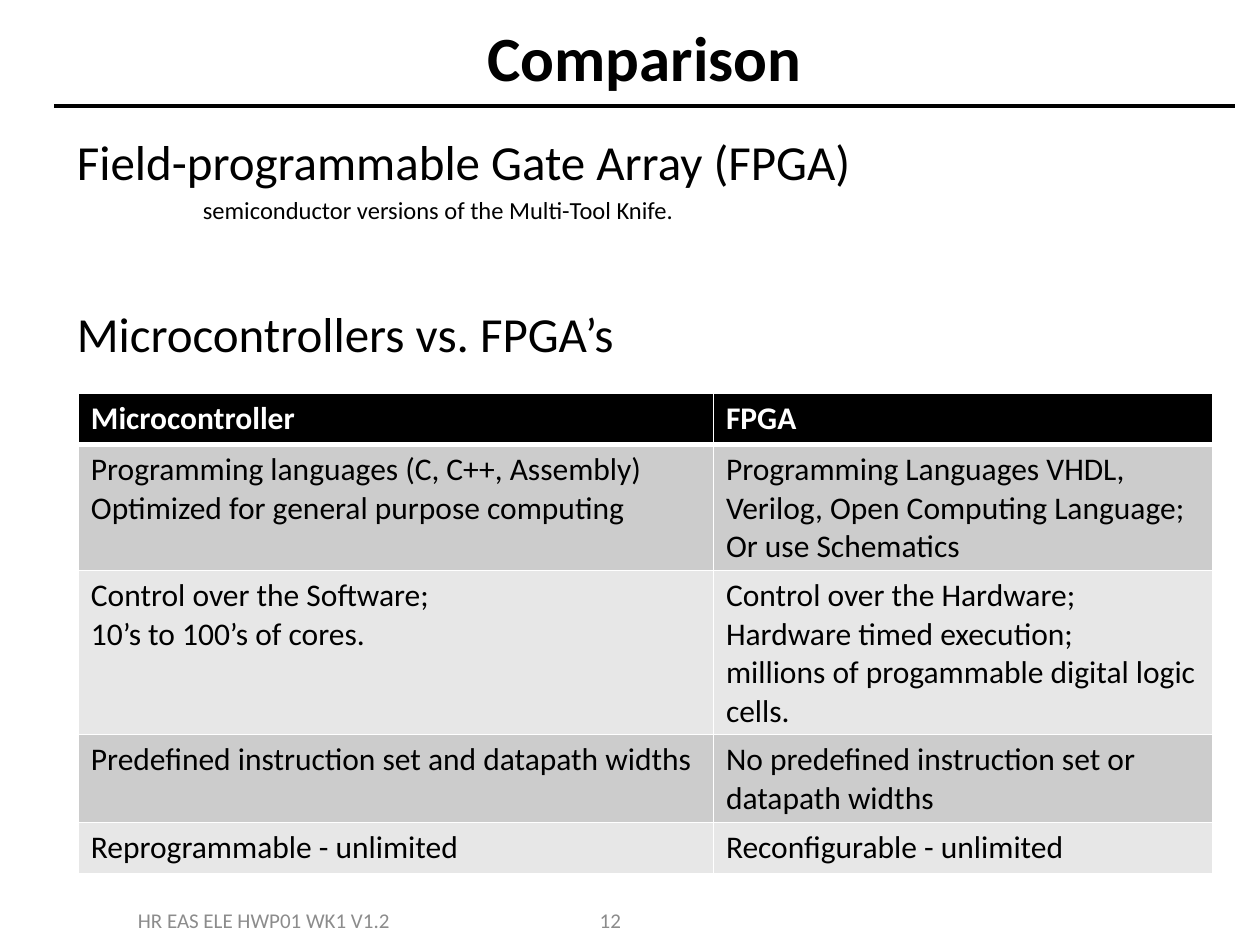
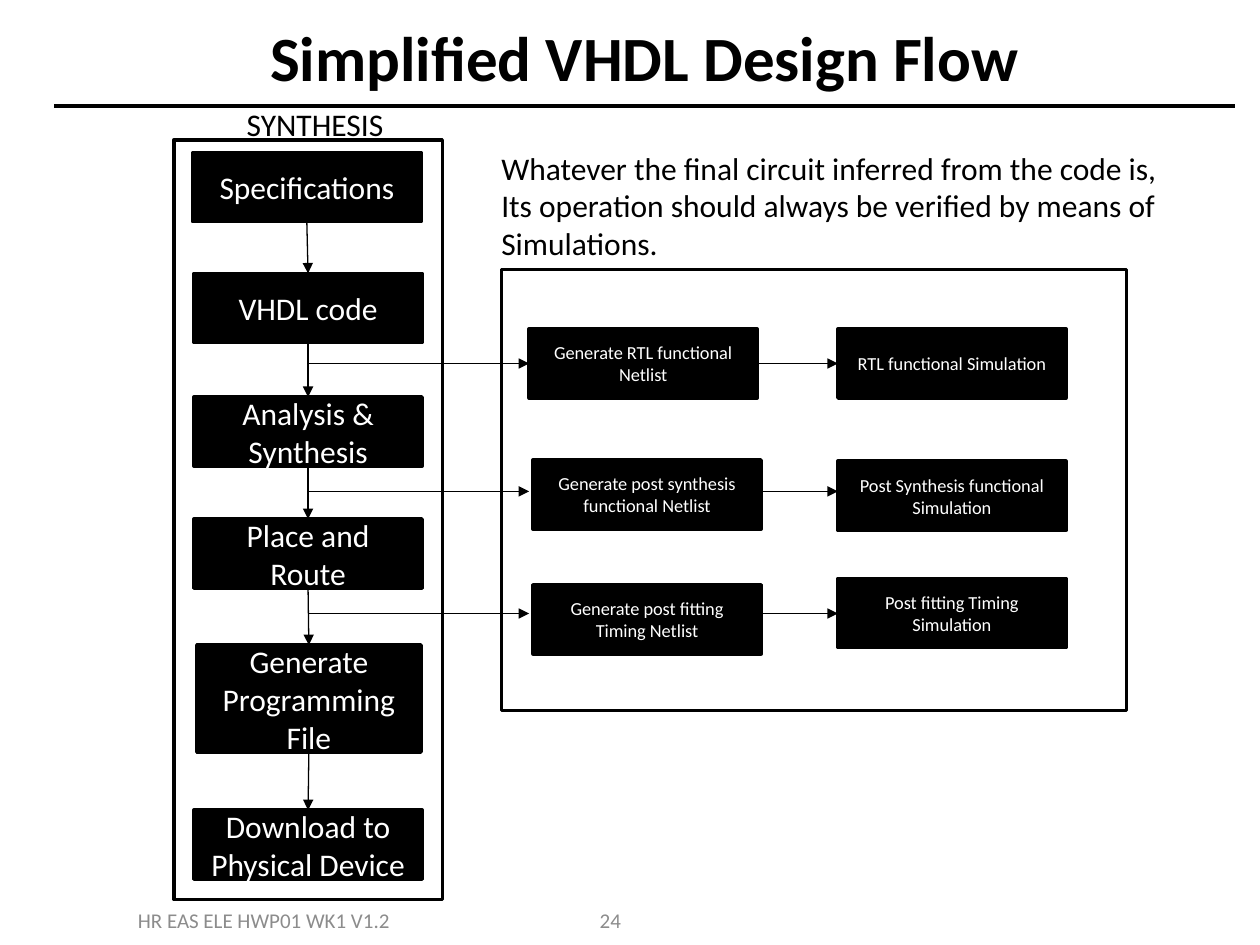
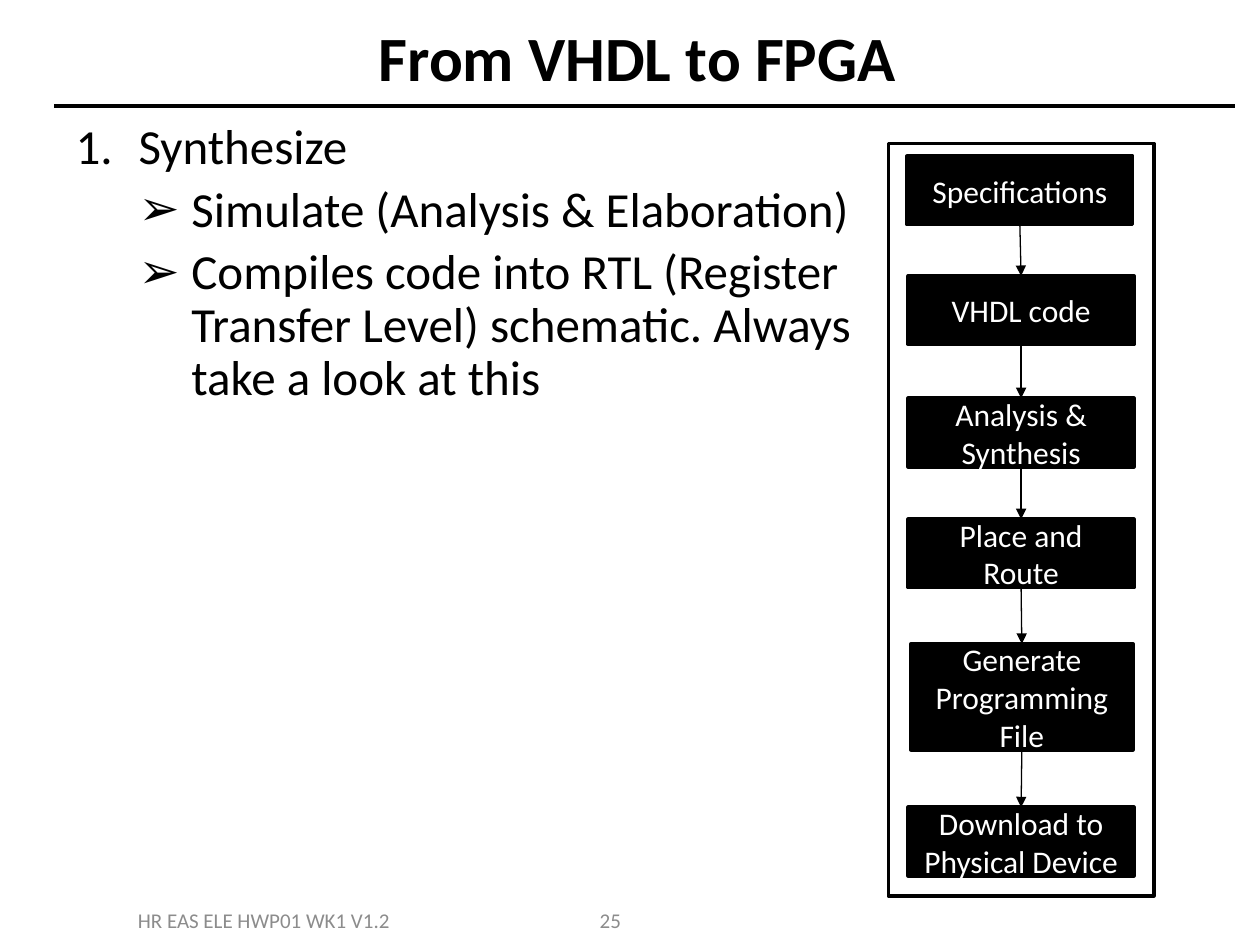
from dataclasses import dataclass
from itertools import pairwise

from lxml.etree import SubElement
from pptx import Presentation
from pptx.dml.color import RGBColor
from pptx.enum.shapes import MSO_CONNECTOR, MSO_SHAPE
from pptx.enum.text import MSO_ANCHOR, MSO_AUTO_SIZE, PP_ALIGN
from pptx.oxml import parse_xml
from pptx.oxml.ns import nsdecls, qn
from pptx.util import Pt

FONT = "Calibri"
BLACK, WHITE, GREY = "000000", "FFFFFF", "8C8C8C"
BANDS = ("CCCCCC", "E7E7E7")
FOOTER = "HR EAS ELE HWP01 WK1 V1.2"
TITLE_ONLY, TITLE_BODY = 5, 1


@dataclass
class Box:
    text: str
    left: float
    top: float
    width: float = 130.3
    height: float = 39.6

    @property
    def center(self) -> float:
        return self.left + self.width / 2

    @property
    def bottom(self) -> float:
        return self.top + self.height

    def placed(self, left: float, top: float, scale: float) -> "Box":
        return Box(self.text, left + self.left * scale, top + self.top * scale,
                   self.width * scale, self.height * scale)


@dataclass
class Branch:
    y: float
    netlist: Box
    simulation: Box


@dataclass
class Item:
    text: str
    size: float = 28
    level: int = 0
    bullet: str = ""
    margin: float = 0
    indent: float = 0
    before: float = 0
    spacing: float = 1.0


# Design flow, measured from the corner of its frame
FLOW_FRAME = Box("", 0, 0, 153.4, 434.2)
FLOW = [
    Box("Specifications", 10.8, 7.2),
    Box("VHDL code", 11.5, 76.3),
    Box("Analysis & Synthesis", 11.5, 146.9),
    Box("Place and Route", 11.5, 216.7),
    Box("Generate Programming File", 13, 288.7, 128.2, 61.2),
    Box("Download to Physical Device", 11.5, 383),
]

NETLIST_X, SIMULATION_X = 302.4, 478.8
BRANCHES = [
    Branch(207.7, Box("Generate RTL functional Netlist", NETLIST_X, 187.9),
           Box("RTL functional Simulation", SIMULATION_X, 187.9)),
    Branch(280.8, Box("Generate post synthesis functional Netlist", 304.6, 262.8),
           Box("Post Synthesis functional Simulation", SIMULATION_X, 263.5)),
    Branch(350.6, Box("Generate post fitting Timing Netlist", 304.6, 334.1),
           Box("Post fitting Timing Simulation", SIMULATION_X, 330.5)),
]

COMPARISON = [
    ("Microcontroller", "FPGA"),
    ("Programming languages (C, C++, Assembly)\nOptimized for general purpose computing",
     "Programming Languages VHDL, Verilog, Open Computing Language;\nOr use Schematics"),
    ("Control over the Software;\n10’s to 100’s of cores.",
     "Control over the Hardware; Hardware timed execution;\n"
     "millions of progammable digital logic cells."),
    ("Predefined instruction set and datapath widths",
     "No predefined instruction set or datapath widths"),
    ("Reprogrammable - unlimited", "Reconfigurable - unlimited"),
]


def rgb(color: str) -> RGBColor:
    return RGBColor.from_string(color)


def add_run(p, text: str, size: float, color: str = BLACK, bold: bool = False) -> None:
    r = p.add_run()
    r.text = text
    r.font.name = FONT
    r.font.size = Pt(size)
    r.font.bold = bold
    r.font.color.rgb = rgb(color)


def write_lines(tf, text: str, size: float, color: str = BLACK, bold: bool = False,
                align: PP_ALIGN = PP_ALIGN.LEFT) -> None:
    for i, line in enumerate(text.split("\n")):
        p = tf.add_paragraph() if i else tf.paragraphs[0]
        p.alignment = align
        add_run(p, line, size, color, bold)


def move(shape, left: float, top: float, width: float, height: float) -> None:
    shape.left, shape.top = Pt(left), Pt(top)
    shape.width, shape.height = Pt(width), Pt(height)


def add_label(s, text: str, left: float, top: float, width: float, height: float) -> None:
    tf = s.shapes.add_textbox(Pt(left), Pt(top), Pt(width), Pt(height)).text_frame
    tf.word_wrap = False
    write_lines(tf, text, 18)


def add_line(shapes, x1: float, y1: float, x2: float, y2: float,
             width: float = 0.75, arrow: bool = True) -> None:
    line = shapes.add_connector(MSO_CONNECTOR.STRAIGHT, Pt(x1), Pt(y1), Pt(x2), Pt(y2))
    line.line.width = Pt(width)
    line.line.color.rgb = rgb(BLACK)
    if arrow:
        SubElement(line.line._get_or_add_ln(), qn("a:tailEnd"), type="triangle")
    SubElement(line._element.spPr, qn("a:effectLst"))


def add_box(shapes, box: Box, size: float = 18) -> None:
    """Black box with white text; a box without text is an open frame."""
    sp = shapes.add_shape(MSO_SHAPE.RECTANGLE, Pt(box.left), Pt(box.top),
                          Pt(box.width), Pt(box.height))
    sp.shadow.inherit = False
    sp.line.color.rgb = rgb(BLACK)
    sp.line.width = Pt(2)
    if not box.text:
        sp.fill.background()
        return
    sp.fill.solid()
    sp.fill.fore_color.rgb = rgb(BLACK)
    sp.text_frame.vertical_anchor = MSO_ANCHOR.MIDDLE
    write_lines(sp.text_frame, box.text, size, WHITE, align=PP_ALIGN.CENTER)


def add_flow(shapes, left: float, top: float, scale: float = 1.0) -> None:
    steps = [box.placed(left, top, scale) for box in FLOW]
    for step in steps:
        add_box(shapes, step)
    for a, b in pairwise(steps):
        add_line(shapes, a.center, a.bottom, b.center, b.top)
    add_box(shapes, FLOW_FRAME.placed(left, top, scale))


def add_slide(prs, layout: int, title: str, number: int):
    """Slide with the shared title, rule and footer."""
    s = prs.slides.add_slide(prs.slide_layouts[layout])
    add_line(s.shapes, 31, 60.5, 705.6, 60.5, width=2, arrow=False)
    move(s.shapes.title, 25.2, 9.4, 686.2, 45.4)
    tf = s.shapes.title.text_frame
    tf.auto_size = MSO_AUTO_SIZE.NONE
    tf.vertical_anchor = MSO_ANCHOR.MIDDLE
    write_lines(tf, title, 36, bold=True, align=PP_ALIGN.CENTER)
    for text, left, width in ((FOOTER, 36.7, 228.2), (str(number), 275, 147.6)):
        tf = s.shapes.add_textbox(Pt(left), Pt(511.2), Pt(width), Pt(28.8)).text_frame
        tf.word_wrap = True
        tf.vertical_anchor = MSO_ANCHOR.MIDDLE
        write_lines(tf, text, 12, GREY, align=PP_ALIGN.CENTER)
    return s


def fill_body(s, items: list[Item], left: float, top: float, width: float) -> None:
    body = s.placeholders[1]
    move(body, left, top, width, 408.2)
    tf = body.text_frame
    tf.auto_size = MSO_AUTO_SIZE.NONE
    for i, item in enumerate(items):
        p = tf.add_paragraph() if i else tf.paragraphs[0]
        p.level = item.level
        pPr = p._p.get_or_add_pPr()
        pPr.set("marL", str(Pt(item.margin)))
        pPr.set("indent", str(Pt(item.indent)))
        if item.bullet == "1.":
            SubElement(pPr, qn("a:buFont"), typeface=FONT)
            SubElement(pPr, qn("a:buAutoNum"), type="arabicPeriod")
        elif item.bullet:
            SubElement(pPr, qn("a:buChar"), char=item.bullet)
        else:
            SubElement(pPr, qn("a:buNone"))
        p.space_before = Pt(item.before)
        p.line_spacing = item.spacing
        add_run(p, item.text, item.size)


def set_borders(cell, bottom: float) -> None:
    tcPr = cell._tc.get_or_add_tcPr()
    sides = {"lnL": 1, "lnR": 1, "lnT": 1, "lnB": bottom}
    for i, (side, width) in enumerate(sides.items()):
        tcPr.insert(i, parse_xml(
            f'<a:{side} {nsdecls("a")} w="{Pt(width)}"><a:solidFill>'
            f'<a:srgbClr val="{WHITE}"/></a:solidFill></a:{side}>'))


def add_comparison(s) -> None:
    row_height, widths = 29.2, (362.9, 285.1)
    table = s.shapes.add_table(len(COMPARISON), len(widths), Pt(44.8), Pt(224.8),
                               Pt(sum(widths)), Pt(row_height * len(COMPARISON))).table
    for column, width in zip(table.columns, widths):
        column.width = Pt(width)
    for i, row in enumerate(COMPARISON):
        table.rows[i].height = Pt(row_height)
        header = i == 0
        for j, text in enumerate(row):
            cell = table.cell(i, j)
            cell.fill.solid()
            cell.fill.fore_color.rgb = rgb(BLACK if header else BANDS[(i - 1) % 2])
            set_borders(cell, 3 if header or i == 0 else 1)
            write_lines(cell.text_frame, text, 18, WHITE if header else BLACK, header)


def comparison_slide(prs) -> None:
    s = add_slide(prs, TITLE_BODY, "Comparison", 12)
    fill_body(s, [
        Item("Field-programmable Gate Array (FPGA)"),
        Item("semiconductor versions of the Multi-Tool Knife.", 14, margin=72, before=2.8),
        Item("Microcontrollers vs. FPGA’s", before=45),
    ], 36.7, 71.3, 648)
    add_comparison(s)


def design_flow_slide(prs) -> None:
    s = add_slide(prs, TITLE_ONLY, "Simplified VHDL Design Flow", 24)
    add_flow(s.shapes, 99.4, 79.9)
    # Simulation branches
    for branch in BRANCHES:
        add_box(s.shapes, branch.netlist, 10.5)
        add_box(s.shapes, branch.simulation, 10.5)
        add_line(s.shapes, 176.4, branch.y, NETLIST_X, branch.y)
        add_line(s.shapes, branch.netlist.left + branch.netlist.width, branch.y,
                 SIMULATION_X, branch.y)
    add_box(s.shapes, Box("", 286.6, 154.1, 357.1, 252))
    # Captions
    add_label(s, "SYNTHESIS", 133.9, 56.2, 93.6, 28.8)
    add_label(s, "Whatever the final circuit inferred from the code is,\n"
                 "Its operation should always be verified by means of\n"
                 "Simulations.", 279.4, 81.4, 398.2, 72.7)


def synthesis_slide(prs) -> None:
    s = add_slide(prs, TITLE_BODY, "From VHDL to FPGA ", 25)
    arrow = {"level": 1, "bullet": "➢", "margin": 66.2, "indent": -30.2,
             "before": 5.6, "spacing": 0.9}
    fill_body(s, [
        Item("Synthesize", bullet="1.", margin=36, indent=-36, spacing=0.9),
        Item("Simulate (Analysis & Elaboration)", **arrow),
        Item("Compiles code into RTL (Register Transfer Level) schematic. "
             "Always take a look at this", **arrow),
    ], 36, 66.2, 471.6)
    add_flow(s.shapes.add_group_shape().shapes, 507.6, 82.1, 0.99)


def main() -> None:
    prs = Presentation()
    prs.slide_width, prs.slide_height = Pt(720), Pt(540)
    comparison_slide(prs)
    design_flow_slide(prs)
    synthesis_slide(prs)
    prs.save("out.pptx")


if __name__ == "__main__":
    main()
